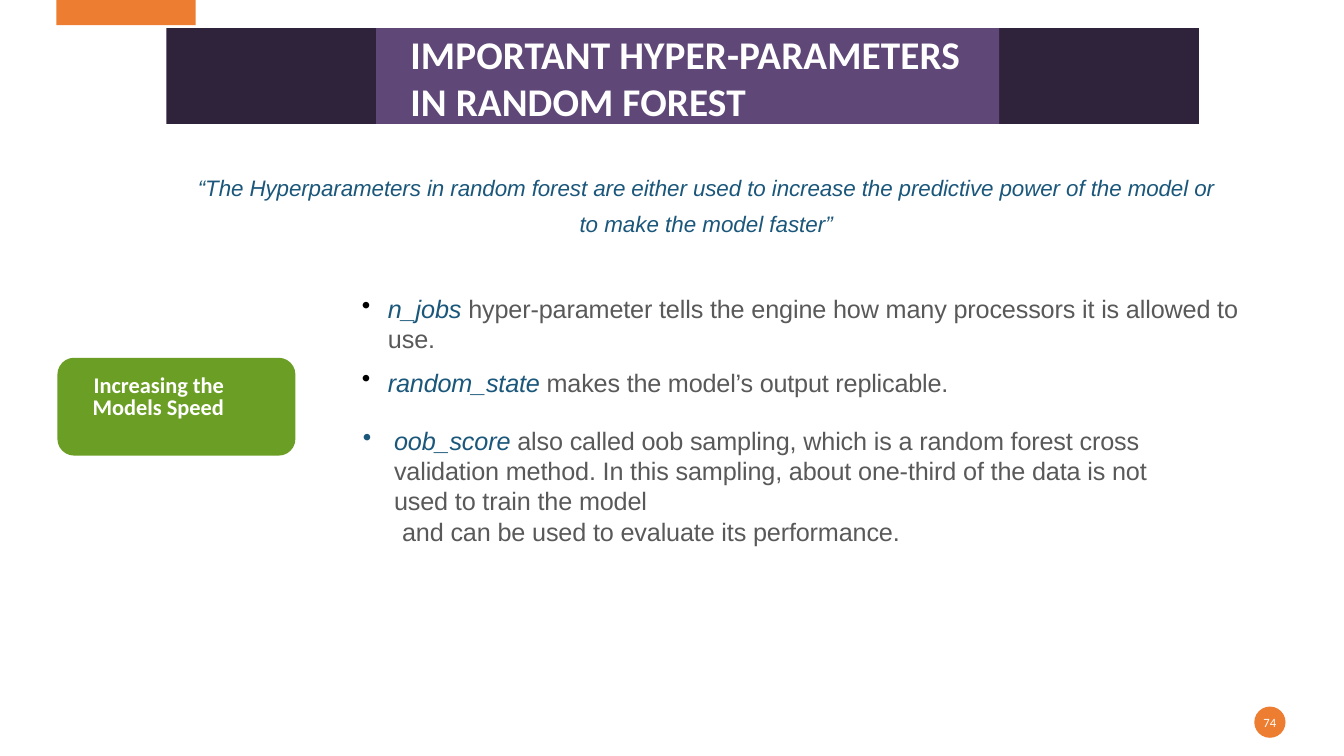
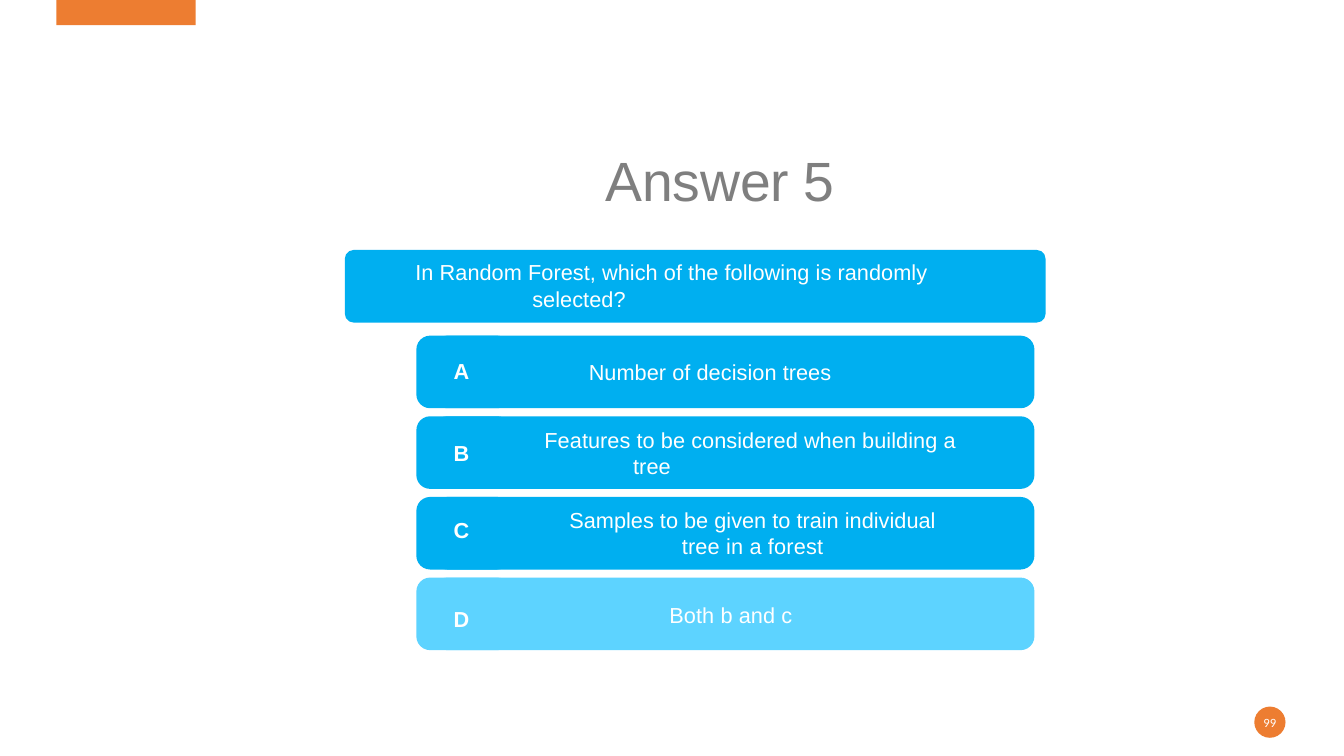
from dataclasses import dataclass, field
from typing import Any, NamedTuple

from lxml.etree import SubElement
from pptx import Presentation
from pptx.dml.color import RGBColor
from pptx.enum.shapes import MSO_SHAPE as Preset
from pptx.enum.text import MSO_ANCHOR as Anchor, PP_ALIGN as Align
from pptx.oxml.ns import qn
from pptx.util import Inches, Pt


@dataclass(frozen=True)
class Theme:
    orange: str = "ED7D31"
    dark: str = "2F233B"
    purple: str = "5F4778"
    green: str = "6B9E24"
    blue: str = "00AFF0"
    light_blue: str = "5DD3FF"
    ink: str = "1B577B"
    black: str = "000000"
    body: str = "595959"
    gray: str = "7F7F7F"
    white: str = "FFFFFF"
    heading_font: str = "Calibri"
    body_font: str = "Arial"

    def style(self, name: str) -> dict[str, Any]:
        heading, body = self.heading_font, self.body_font
        rows = {
            "title": (heading, 28, self.white, True, False),
            "page": (heading, 9, self.white, False, False),
            "label": (heading, 16, self.white, True, False),
            "quote": (body, 16, self.ink, False, True),
            "term": (body, 18, self.ink, False, True),
            "body": (body, 18, self.body, False, False),
            "answer": (body, 39.5, self.gray, False, False),
            "option": (body, 15.5, self.white, False, False),
            "letter": (body, 15.5, self.white, True, False),
        }
        family, size, color, bold, italic = rows[name]
        return {"name": family, "size": Pt(size), "bold": bold,
                "italic": italic, "color": color}


THEME = Theme()


class Box(NamedTuple):
    left: float
    top: float
    width: float
    height: float


class Insets(NamedTuple):
    left: float = 0
    top: float = 0
    right: float = 0
    bottom: float = 0


class Span(NamedTuple):
    text: str
    style: str


@dataclass(frozen=True)
class Para:
    spans: list[Span]
    spacing: float = 0
    margin: float = 0
    indent: float = 0
    bullet: str = ""
    layout: dict[str, Any] = field(default_factory=dict)


class Option(NamedTuple):
    letter: str
    letter_top: float
    color: str
    text_box: Box
    paragraphs: list[Para]


PADDED = Insets(0.1, 0.05, 0.1, 0.05)
CENTER = {"alignment": Align.CENTER}


def plain(text: str, style: str, spacing: float = 0, margin: float = 0,
          indent: float = 0, **layout: Any) -> Para:
    return Para([Span(text, style)], spacing, margin, indent, layout=layout)


def add_bullet(properties: Any, color: str) -> None:
    bullet_color = SubElement(properties, qn("a:buClr"))
    SubElement(bullet_color, qn("a:srgbClr")).set("val", color)
    SubElement(properties, qn("a:buChar")).set("char", "•")


def write(shape: Any, paragraphs: list[Para], insets: Insets = Insets(),
          anchor: Any = Anchor.TOP) -> None:
    frame = shape.text_frame
    frame.word_wrap = True
    frame.vertical_anchor = anchor
    for side, inset in insets._asdict().items():
        setattr(frame, f"margin_{side}", Inches(inset))
    for index, content in enumerate(paragraphs):
        paragraph = frame.add_paragraph() if index else frame.paragraphs[0]
        properties = paragraph._p.get_or_add_pPr()
        properties.set("marL", str(Inches(content.margin)))
        properties.set("indent", str(Inches(content.indent)))
        if content.bullet:
            add_bullet(properties, content.bullet)
        for name, value in ({"alignment": Align.LEFT} | content.layout).items():
            setattr(paragraph, name, value)
        for span in content.spans:
            run = paragraph.add_run()
            run.text = span.text
            values = THEME.style(span.style)
            run.font.color.rgb = RGBColor.from_string(values.pop("color"))
            for name, value in values.items():
                setattr(run.font, name, value)
            run._r.get_or_add_rPr().set("spc", str(round(content.spacing * 100)))


def add_text(slide: Any, box: Box, paragraphs: list[Para],
             insets: Insets = Insets()) -> None:
    write(slide.shapes.add_textbox(*map(Inches, box)), paragraphs, insets)


def add_block(slide: Any, box: Box, color: str,
              preset: Any = Preset.RECTANGLE, corner: float = 0) -> Any:
    shape = slide.shapes.add_shape(preset, *map(Inches, box))
    shape.shadow.inherit = False
    shape.fill.solid()
    shape.fill.fore_color.rgb = RGBColor.from_string(color)
    shape.line.fill.background()
    if corner:
        shape.adjustments[0] = corner
    return shape


def add_rounded(slide: Any, box: Box, color: str, corner: float) -> Any:
    return add_block(slide, box, color, Preset.ROUNDED_RECTANGLE, corner)


def add_slide(presentation: Any, number: int) -> Any:
    slide = presentation.slides.add_slide(presentation.slide_layouts[6])
    add_block(slide, Box(0.56, 0, 1.38, 0.25), THEME.orange)
    badge = add_block(slide, Box(12.44, 7.01, 0.31, 0.31), THEME.orange, Preset.OVAL)
    write(badge, [plain(str(number), "page", **CENTER)], anchor=Anchor.MIDDLE)
    badge.text_frame.word_wrap = False
    return slide


def build_parameters(presentation: Any) -> None:
    slide = add_slide(presentation, 74)
    add_block(slide, Box(1.65, 0.28, 10.24, 0.95), THEME.dark)
    title = add_block(slide, Box(3.73, 0.28, 6.18, 0.95), THEME.purple)
    write(title, [plain("IMPORTANT HYPER-PARAMETERS IN RANDOM FOREST", "title", 0.1, 0.34)],
          Insets(top=0.01), Anchor.BOTTOM)
    add_text(slide, Box(1.42, 1.68, 11.17, 0.74), [
        plain("“The Hyperparameters in random forest are either used to increase "
              "the predictive power of the model or", "quote", -0.05, **CENTER),
        plain("to make the model faster”", "quote", **CENTER, space_before=Pt(6.6)),
    ], PADDED)
    add_text(slide, Box(3.48, 2.86, 9.06, 0.71), [
        Para([Span("n_jobs ", "term"),
              Span("hyper-parameter tells the engine how many processors it is "
                   "allowed to use.", "body")], -0.12, 0.27, -0.26, THEME.black),
    ], PADDED)
    add_text(slide, Box(3.48, 3.59, 6.6, 0.4), [
        Para([Span("random_state ", "term"),
              Span("makes the model’s output replicable.", "body")],
             -0.15, 0.27, -0.26, THEME.black),
    ], PADDED)
    add_text(slide, Box(3.48, 4.17, 8.41, 1.31), [
        Para([Span("oob_score ", "term"),
              Span("also called oob sampling, which is a random forest cross "
                   "validation method. In this sampling, about one-third of the "
                   "data is not used to train the model", "body")],
             -0.12, 0.33, -0.31, THEME.ink),
        plain("and can be used to evaluate its performance.", "body", -0.12, 0.41),
    ], PADDED)
    add_rounded(slide, Box(0.57, 3.55, 2.36, 0.97), THEME.green, 0.17)
    add_text(slide, Box(0.91, 3.7, 1.47, 0.47), [
        plain("Increasing the Models Speed", "label", 0, 0.01, 0.01,
              line_spacing=Pt(15.8)),
    ], Insets(top=0.03))


OPTIONS = [
    Option("A", 3.49, THEME.blue, Box(5.83, 3.54, 3.27, 0.29),
           [plain("Number of decision trees", "option", 0.06, 0.01)]),
    Option("B", 4.3, THEME.blue, Box(5.39, 4.21, 4.17, 0.55),
           [plain("Features to be considered when building a tree", "option",
                  0.05, 0.89, -0.88, line_spacing=1.01)]),
    Option("C", 5.07, THEME.blue, Box(5.02, 5.01, 4.89, 0.55),
           [plain("Samples to be given to train individual", "option", 0.04, **CENTER),
            plain("tree in a forest", "option", 0.15, **CENTER)]),
    Option("D", 5.95, THEME.light_blue, Box(6.63, 5.95, 1.66, 0.29),
           [plain("Both b and c", "option", 0.08, 0.01)]),
]


def build_answer(presentation: Any) -> None:
    slide = add_slide(presentation, 99)
    add_text(slide, Box(5.91, 1.4, 3, 0.77), [plain("Answer 5", "answer", -0.15)], PADDED)
    add_rounded(slide, Box(3.42, 2.48, 6.95, 0.72), THEME.blue, 0.12)
    add_text(slide, Box(4.11, 2.56, 5.57, 0.55), [
        plain("In Random Forest, which of the following is randomly selected?",
              "option", 0.05, 1.17, -1.16, line_spacing=1.01),
    ], Insets(top=0.01))
    first_top, pitch, height = 3.33, 0.8, 0.72
    for row, option in enumerate(OPTIONS):
        top = first_top + row * pitch
        for left, width in ((4.13, 0.94), (4.3, 5.96)):
            add_rounded(slide, Box(left, top, width, height), option.color, 0.19)
        add_text(slide, option.text_box, option.paragraphs, Insets(top=0.02))
        tag = add_block(slide, Box(4.28, option.letter_top, 0.66, 0.37), option.color)
        write(tag, [plain(option.letter, "letter", 0.1)], Insets(left=0.22, top=0.06))


def main() -> None:
    presentation = Presentation()
    presentation.slide_width = Inches(13.33)
    presentation.slide_height = Inches(7.5)
    build_parameters(presentation)
    build_answer(presentation)
    presentation.save("out.pptx")


if __name__ == "__main__":
    main()
